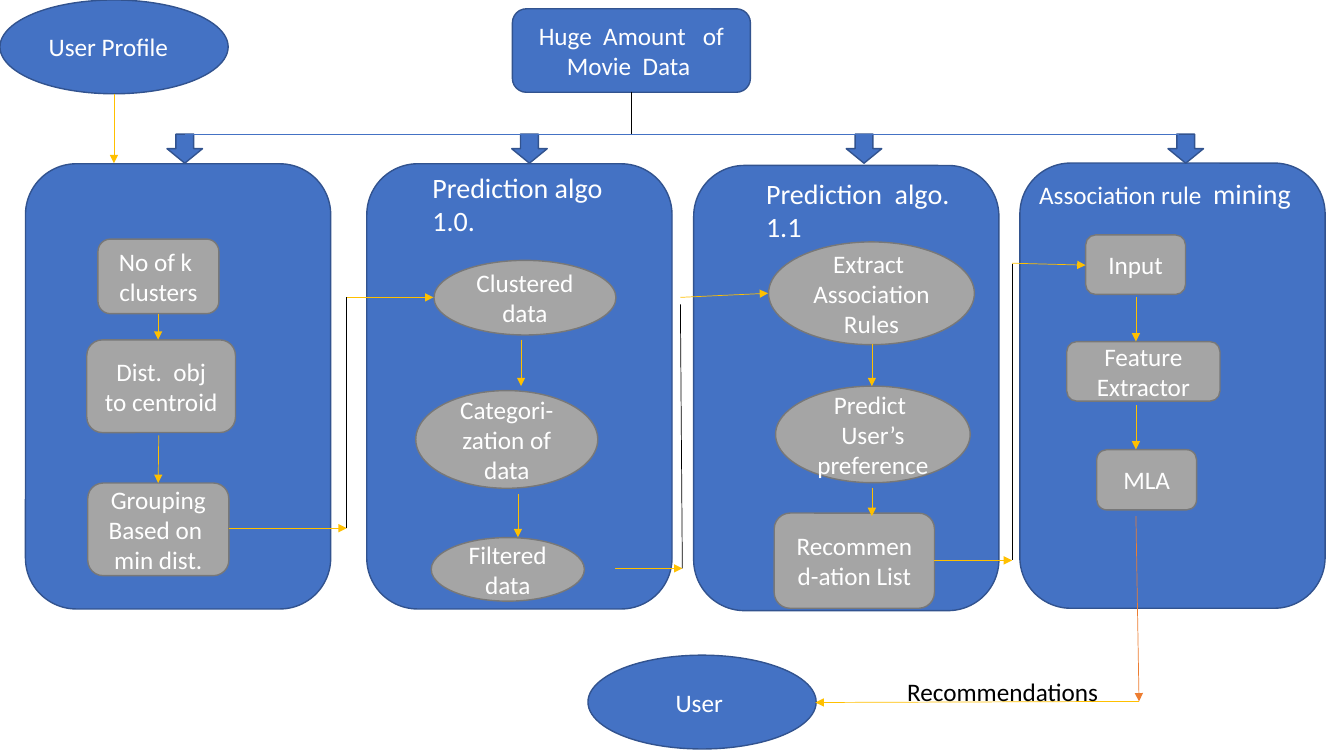
"""Build the movie recommendation flow slide."""
from typing import NamedTuple, Optional

from pptx import Presentation
from pptx.dml.color import RGBColor
from pptx.enum.shapes import MSO_CONNECTOR, MSO_SHAPE as SHAPE
from pptx.enum.text import MSO_ANCHOR as ANCHOR, PP_ALIGN as ALIGN
from pptx.oxml.ns import qn
from pptx.util import Pt
from lxml.etree import SubElement

BLUE = RGBColor(0x44, 0x72, 0xC4)
NAVY = RGBColor(0x32, 0x53, 0x8F)
GREY = RGBColor(0xA5, 0xA5, 0xA5)
DARK_GREY = RGBColor(0x78, 0x78, 0x78)
GOLD = RGBColor(0xFF, 0xC0, 0x00)
ORANGE = RGBColor(0xED, 0x7D, 0x31)
BLACK = RGBColor(0, 0, 0)
WHITE = RGBColor(0xFF, 0xFF, 0xFF)
FONT = "Calibri"
BOX, OVAL = SHAPE.ROUNDED_RECTANGLE, SHAPE.OVAL
PANEL_W, PANEL_H = 218, 318
BUS_Y = 95.8
ARROW_W, ARROW_H = 25.4, 20.8


class Node(NamedTuple):
    kind: SHAPE
    x: float
    y: float
    w: float
    h: float
    text: str = ""
    fill: RGBColor = GREY
    line: RGBColor = DARK_GREY


class Link(NamedTuple):
    x1: float
    y1: float
    x2: float
    y2: float
    color: RGBColor = GOLD
    arrow: bool = True


class Label(NamedTuple):
    x: float
    y: float
    w: float
    h: float
    text: str
    size: int = 20
    color: RGBColor = WHITE
    tail: Optional[str] = None


PANELS = [Node(BOX, x, y, PANEL_W, PANEL_H, "", BLUE, NAVY)
          for x, y in [(18.2, 117), (262, 117), (495.5, 118.2), (728.5, 116.5)]]

BLOCK_ARROWS = [Node(SHAPE.DOWN_ARROW, x - ARROW_W / 2, BUS_Y, ARROW_W, ARROW_H, "", BLUE, NAVY)
                for x in (132, 378.2, 617.2, 847)]

NODES = [
    Node(BOX, 366, 6.3, 170, 59.6, "Huge  Amount   of Movie  Data ", BLUE, NAVY),
    Node(OVAL, 0, 0, 163, 67, "User Profile  ", BLUE, NAVY),
    Node(OVAL, 420, 468, 163, 67, "User ", BLUE, NAVY),
    Node(BOX, 70, 170.8, 86.4, 53.3, "No of k \nclusters"),
    Node(BOX, 62, 242.8, 106.2, 66.2, "Dist.  obj to centroid"),
    Node(BOX, 62.7, 345, 100.8, 66.2, "Grouping\nBased on  min dist."),
    Node(OVAL, 310, 186, 130, 53.3, "Clustered\ndata"),
    Node(OVAL, 297, 279, 130, 69.8, "Categori-zation of data"),
    Node(OVAL, 308, 384, 109.4, 45.4, "Filtered\vdata"),
    Node(OVAL, 549, 172.8, 147, 73.4, "Extract  Association Rules"),
    Node(OVAL, 554, 275.8, 139, 69, "Predict  User’s preference"),
    Node(BOX, 553, 366.5, 114.5, 68, "Recommend-ation List"),
    Node(BOX, 775.5, 167.8, 71.3, 42.5, "Input"),
    Node(BOX, 762, 244, 109.4, 42.5, "Feature Extractor"),
    Node(BOX, 783.4, 321.2, 71.3, 43, "MLA"),
]

LINKS = [
    Link(450.7, 65.5, 450.7, BUS_Y, BLACK, False),
    Link(132, BUS_Y, 842.4, BUS_Y, BLUE, False),
    Link(81.4, 67, 81.4, 116.6),
    Link(113, 224, 113, 242.6),
    Link(113.4, 311, 113, 345),
    Link(163.4, 377.3, 247.7, 377.3),
    Link(247.7, 212.4, 247.7, 377.3, BLACK, False),
    Link(247.7, 212.4, 309.6, 212.4),
    Link(372.2, 242.6, 372.2, 275.8),
    Link(370, 352.8, 370, 383.8),
    Link(439.2, 406, 487.4, 406),
    Link(486, 217.4, 487.4, 406, BLACK, False),
    Link(486, 212.4, 548.6, 209.5),
    Link(661, 262, 661, 273.6, BLUE),
    Link(622.8, 245.5, 622.8, 275.8),
    Link(622.8, 348.5, 622.8, 368.6),
    Link(667.4, 400.3, 722.9, 400.3),
    Link(722.9, 188.6, 722.9, 400.3, BLACK, False),
    Link(722.9, 188, 775.4, 189.4),
    Link(811.4, 212.4, 811.4, 244),
    Link(811.4, 289.4, 811.4, 321),
    Link(811.4, 368.6, 813.6, 501, ORANGE),
    Link(813.6, 501, 582.5, 501.8),
]

LABELS = [
    Label(305.3, 118, 142, 53.3, "Prediction algo 1.0."),
    Label(543.6, 122.4, 140.4, 76, "Prediction  algo.\n1.1"),
    Label(738.7, 122.4, 199.4, 51, "Association rule  ", 18, tail="mining"),
    Label(644.4, 479.5, 184.3, 28, "Recommendations", 18, BLACK),
]


def style_text(tf, size: int, color: RGBColor, align: ALIGN) -> None:
    """Format every run of a text frame."""
    tf.word_wrap = True
    for p in tf.paragraphs:
        p.alignment = align
        for r in p.runs:
            r.font.name, r.font.size = FONT, Pt(size)
            r.font.color.rgb = color


def draw_node(slide, node: Node) -> None:
    """Draw a filled shape with centred text."""
    sp = slide.shapes.add_shape(node.kind, Pt(node.x), Pt(node.y), Pt(node.w), Pt(node.h))
    sp.shadow.inherit = False
    sp.fill.solid()
    sp.fill.fore_color.rgb = node.fill
    sp.line.color.rgb = node.line
    sp.line.width = Pt(1)
    if node.text:
        tf = sp.text_frame
        tf.text = node.text
        tf.vertical_anchor = ANCHOR.MIDDLE
        tf.margin_left = tf.margin_right = Pt(7.2 if node.kind == OVAL else 9.5)
        tf.margin_top = tf.margin_bottom = 0
        style_text(tf, 18, WHITE, ALIGN.CENTER)


def draw_link(slide, link: Link) -> None:
    """Draw a thin line, with an arrowhead where asked."""
    cx = slide.shapes.add_connector(MSO_CONNECTOR.STRAIGHT, Pt(link.x1), Pt(link.y1),
                                    Pt(link.x2), Pt(link.y2))
    cx.line.color.rgb = link.color
    cx.line.width = Pt(0.5)
    if link.arrow:
        SubElement(cx.line._get_or_add_ln(), qn("a:tailEnd"), type="triangle")
    SubElement(cx._element.spPr, qn("a:effectLst"))


def draw_label(slide, label: Label) -> None:
    """Draw a left-aligned text box."""
    tb = slide.shapes.add_textbox(Pt(label.x), Pt(label.y), Pt(label.w), Pt(label.h))
    tf = tb.text_frame
    tf.text = label.text
    tf.margin_left = tf.margin_right = tf.margin_top = tf.margin_bottom = Pt(3.6)
    if label.tail:
        tf.paragraphs[0].add_run().text = label.tail
    style_text(tf, label.size, label.color, ALIGN.LEFT)
    if label.tail:
        tf.paragraphs[0].runs[-1].font.size = Pt(20)


def main() -> None:
    """Draw the slide and save it."""
    prs = Presentation()
    prs.slide_width, prs.slide_height = Pt(960), Pt(540)
    slide = prs.slides.add_slide(prs.slide_layouts[6])
    for node in PANELS + BLOCK_ARROWS + NODES:
        draw_node(slide, node)
    for link in LINKS:
        draw_link(slide, link)
    for label in LABELS:
        draw_label(slide, label)
    prs.save("out.pptx")


if __name__ == "__main__":
    main()
